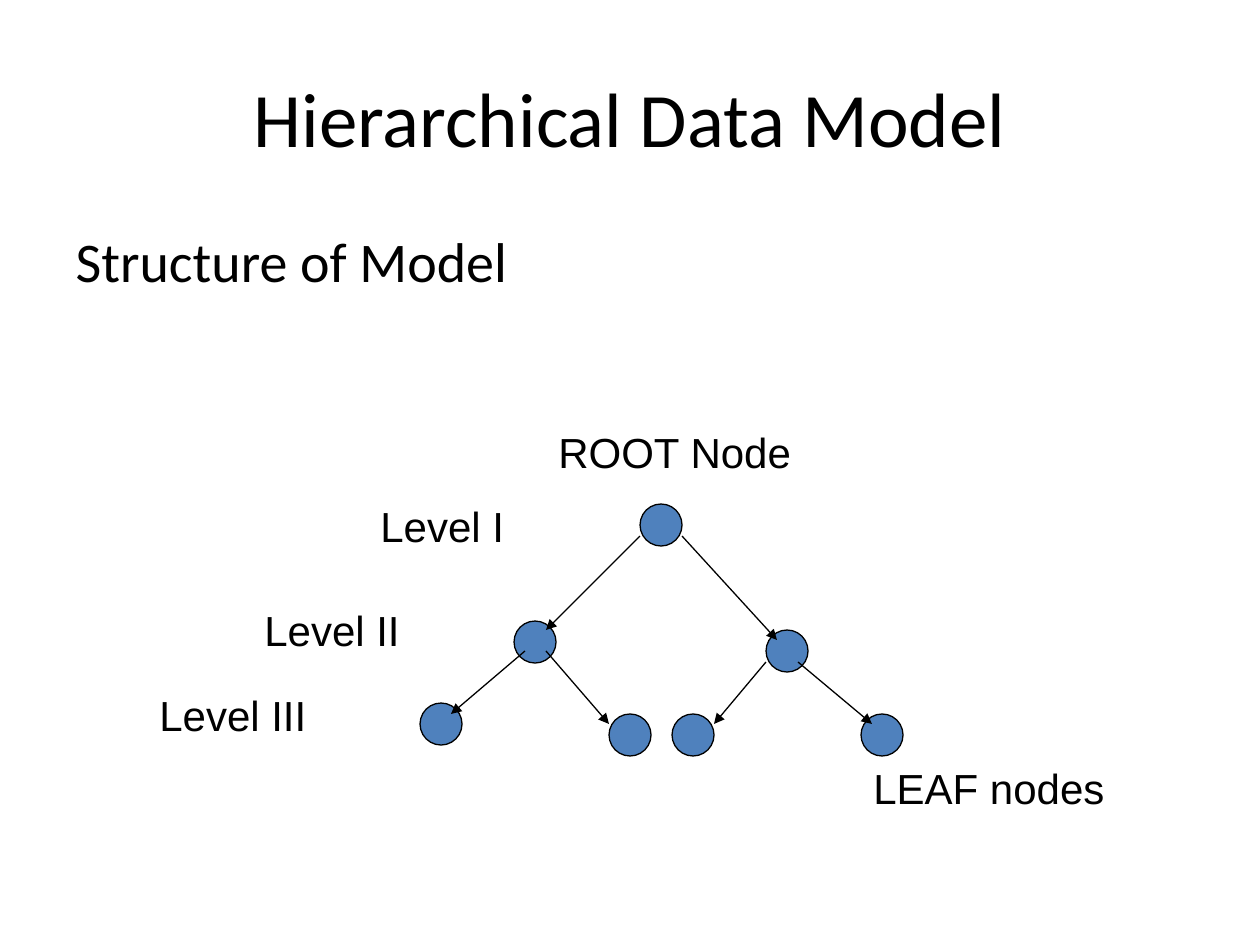
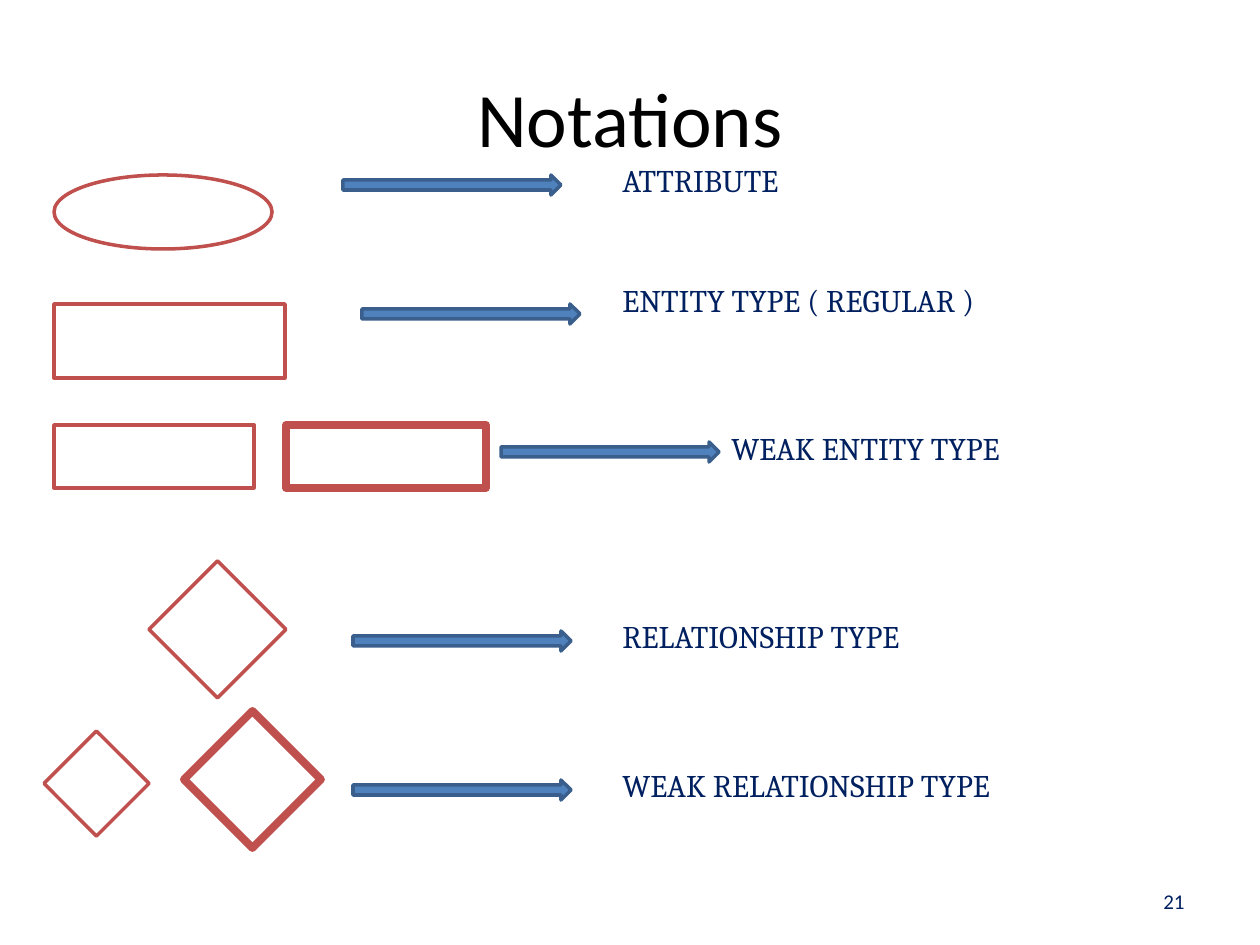
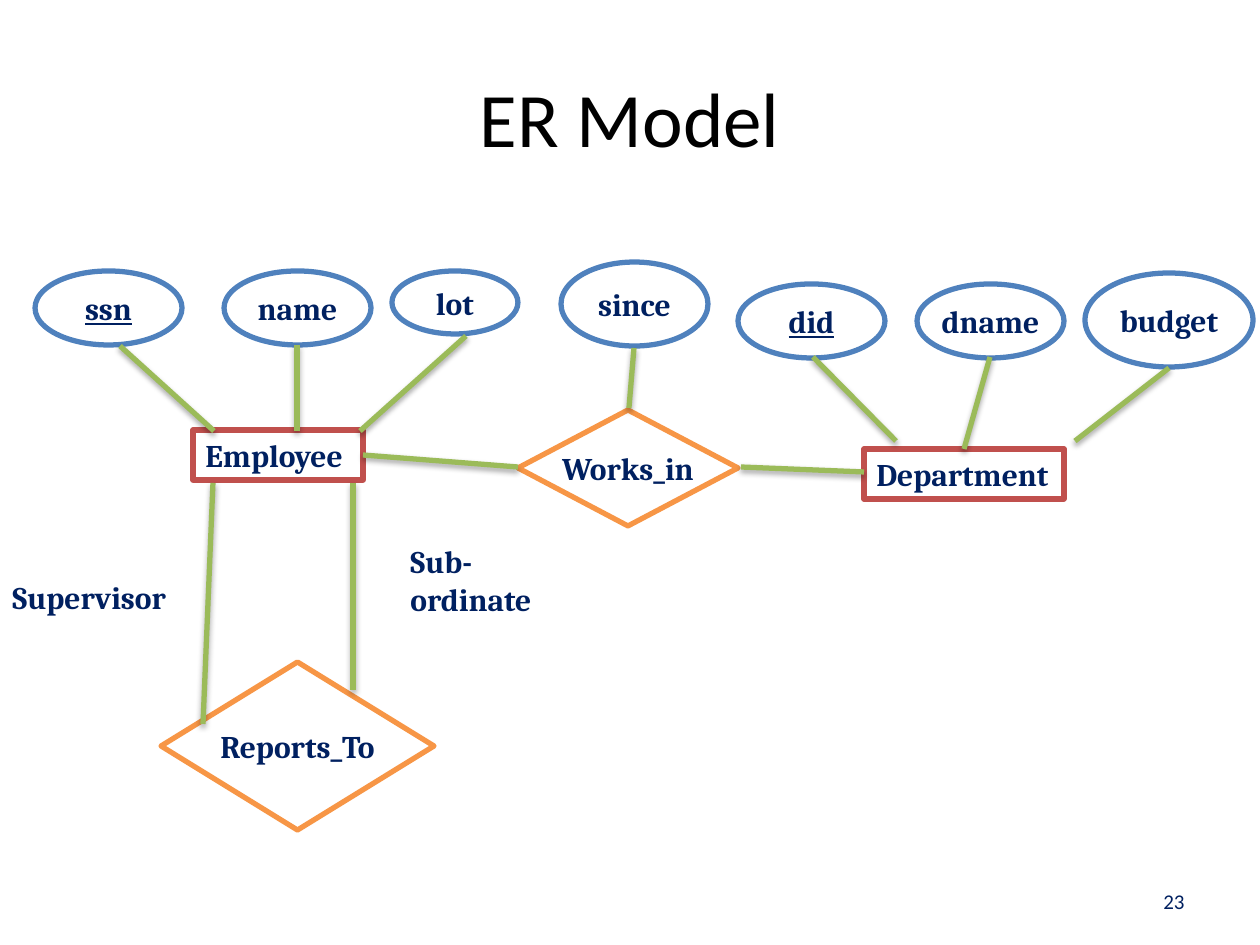
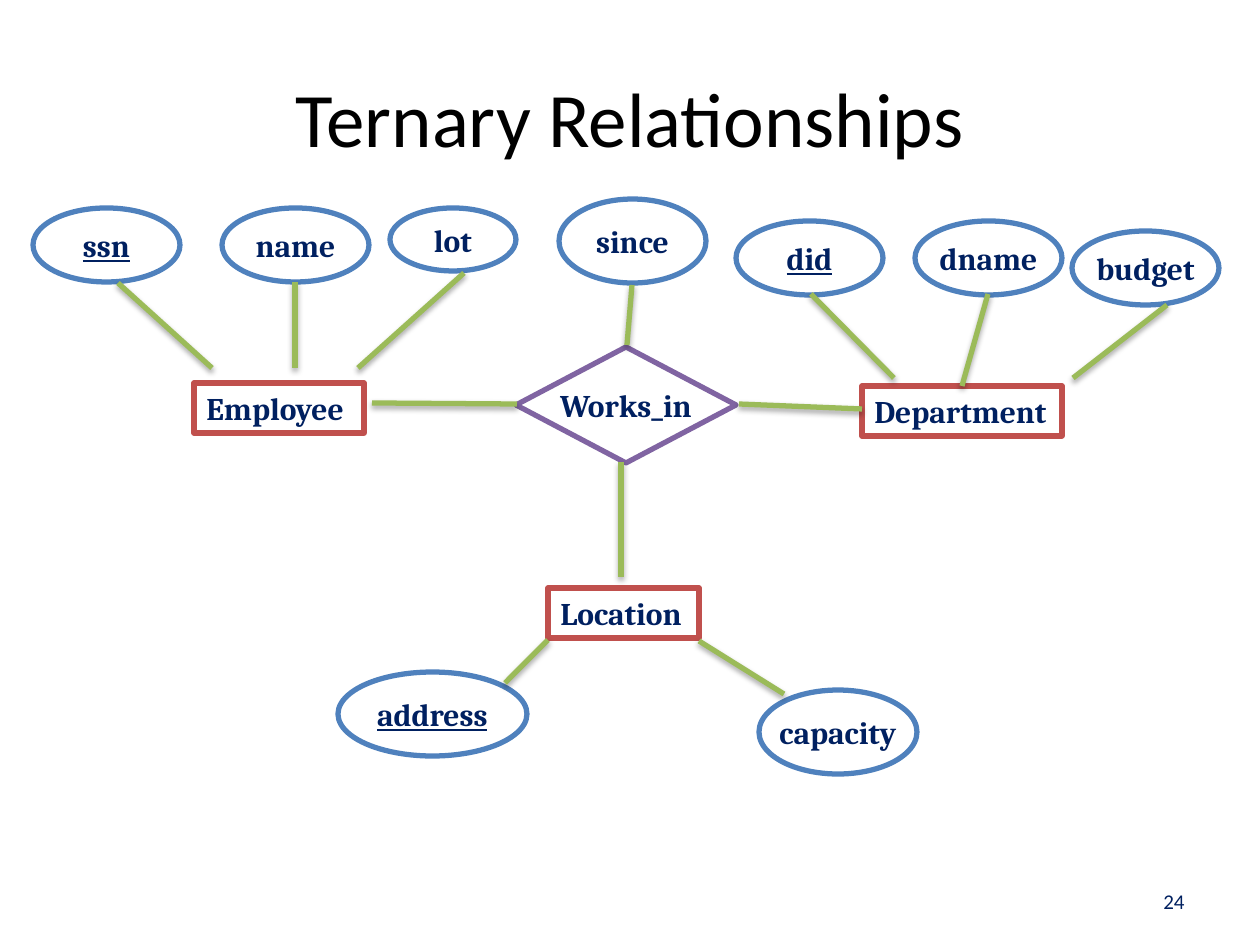
from lxml.etree import SubElement
from pptx import Presentation
from pptx.dml.color import RGBColor
from pptx.enum.shapes import MSO_CONNECTOR, MSO_SHAPE
from pptx.enum.text import MSO_ANCHOR, MSO_AUTO_SIZE, PP_ALIGN
from pptx.oxml.ns import qn
from pptx.util import Emu, Pt

COLORS = {
    "black": "000000", "white": "FFFFFF", "navy": "002060",
    "blue": "4F81BD", "dark_blue": "3A5F8C", "red": "C0504D",
    "green": "9BBB59", "orange": "F79646", "purple": "8064A2",
}
SCALE = 914400 / 126  # EMU per pixel


def px(*lengths):
    return [Emu(round(n * SCALE)) for n in lengths]


def rgb(name):
    return RGBColor.from_string(COLORS[name])


def write_text(tf, text, font="Cambria", size=18, color="navy", bold=False,
               underline=False, align=PP_ALIGN.LEFT, anchor=MSO_ANCHOR.TOP,
               wrap=True, grow=False):
    """Fill a text frame, one paragraph per line of text."""
    tf.word_wrap = wrap
    tf.vertical_anchor = anchor
    tf.auto_size = MSO_AUTO_SIZE.SHAPE_TO_FIT_TEXT if grow else MSO_AUTO_SIZE.NONE
    for i, line in enumerate(text.split("\n")):
        p = tf.paragraphs[0] if i == 0 else tf.add_paragraph()
        p.alignment = align
        r = p.add_run()
        r.text = line
        r.font.name, r.font.size = font, Pt(size)
        r.font.bold, r.font.underline = bold, underline
        r.font.color.rgb = rgb(color)


class Deck:
    def __init__(self):
        self.prs = Presentation()
        self.prs.slide_width, self.prs.slide_height = px(1260, 945)
        self.s = None

    # Shared slide parts
    def slide(self, title, layout=5, number=None):
        self.s = self.prs.slides.add_slide(self.prs.slide_layouts[layout])
        sp = self.s.shapes.title
        sp.left, sp.top, sp.width, sp.height = px(63, 38, 1134, 158)
        write_text(sp.text_frame, title, font="Calibri", size=44, color="black",
                   align=PP_ALIGN.CENTER, anchor=MSO_ANCHOR.MIDDLE)
        if number:
            self.label(number, 903, 876, 294, 50, font="Calibri", size=12,
                       align=PP_ALIGN.RIGHT, anchor=MSO_ANCHOR.MIDDLE)

    def body(self, text):
        sp = self.s.placeholders[1]
        sp.left, sp.top, sp.width, sp.height = px(63, 220, 1134, 624)
        write_text(sp.text_frame, text, font="Calibri", size=32, color="black")
        for p in sp.text_frame.paragraphs:
            pPr = p._p.get_or_add_pPr()
            pPr.set("marL", "342900")
            pPr.set("indent", "-342900")
            SubElement(pPr, qn("a:buNone"))

    # Basic elements
    def label(self, text, x, y, w, h, **fmt):
        sp = self.s.shapes.add_textbox(*px(x, y, w, h))
        write_text(sp.text_frame, text, **fmt)

    def shape(self, kind, x, y, w, h, line, fill="white", weight=3.0):
        sp = self.s.shapes.add_shape(kind, *px(x, y, w, h))
        sp.shadow.inherit = False
        sp.fill.solid()
        sp.fill.fore_color.rgb = rgb(fill)
        sp.line.color.rgb = rgb(line)
        sp.line.width = Pt(weight)
        return sp

    def line(self, x1, y1, x2, y2, color, weight):
        sp = self.s.shapes.add_connector(MSO_CONNECTOR.STRAIGHT, *px(x1, y1, x2, y2))
        sp.line.color.rgb = rgb(color)
        sp.line.width = Pt(weight)
        return sp, SubElement(sp._element.spPr, qn("a:effectLst"))

    def arrow(self, *ends):
        sp, _ = self.line(*ends, "black", 0.75)
        SubElement(sp.line._get_or_add_ln(), qn("a:tailEnd"), type="triangle")

    # ER diagram elements
    def link(self, *ends):
        _, effects = self.line(*ends, "green", 3)
        shadow = SubElement(effects, qn("a:outerShdw"), blurRad="40000", dist="23000",
                            dir="5400000", rotWithShape="0")
        black = SubElement(shadow, qn("a:srgbClr"), val=COLORS["black"])
        SubElement(black, qn("a:alpha"), val="35000")

    def centered(self, kind, text, x, y, w, h, line, key=False):
        sp = self.shape(kind, x, y, w, h, line)
        write_text(sp.text_frame, text, bold=True, underline=key, wrap=False,
                   align=PP_ALIGN.CENTER, anchor=MSO_ANCHOR.MIDDLE)

    def attribute(self, text, x, y, w=147, h=74, key=False):
        self.centered(MSO_SHAPE.OVAL, text, x, y, w, h, "blue", key)

    def relation(self, text, x, y, w, h, color):
        self.centered(MSO_SHAPE.DIAMOND, text, x, y, w, h, color)

    def entity(self, text, x, y, w):
        sp = self.shape(MSO_SHAPE.RECTANGLE, x, y, w, 50, "red")
        write_text(sp.text_frame, text, bold=True, wrap=False, grow=True)

    def works_in_diagram(self, dx, dy, color):
        """Works_in with the attributes of both entities, moved by dx, dy."""
        self.entity("Department", 864 + dx, 449 + dy, 200)
        for text, x, y, w, h, key in [
            ("ssn", 35, 271, 147, 74, True), ("name", 224, 271, 147, 74, False),
            ("lot", 392, 271, 126, 63, False), ("since", 561, 262, 147, 84, False),
            ("did", 738, 284, 147, 74, True), ("dname", 917, 284, 147, 74, False),
        ]:
            self.attribute(text, x + dx, y + dy, w, h, key)
        self.relation("Works_in", 518 + dx, 410 + dy, 220, 116, color)
        for x1, y1, x2, y2 in [
            (120, 346, 214, 431), (297, 345, 297, 431), (466, 336, 360, 431),
            (634, 348, 629, 408), (813, 357, 896, 441), (990, 357, 964, 449),
            (1169, 368, 1075, 441), (741, 467, 864, 472),
        ]:
            self.link(x1 + dx, y1 + dy, x2 + dx, y2 + dy)


deck = Deck()

# Slide 1: tree of nodes
deck.slide("Hierarchical Data Model", layout=1)
deck.body("Structure of Model")
for x, y in [(640, 504), (514, 621), (766, 630), (609, 714), (420, 703),
             (672, 714), (861, 714)]:
    deck.shape(MSO_SHAPE.OVAL, x, y, 42, 42, "black", fill="blue", weight=0.75)
for ends in [(640, 536, 546, 630), (682, 536, 777, 640), (798, 662, 872, 724),
             (766, 662, 714, 724), (525, 651, 451, 714), (546, 651, 609, 724)]:
    deck.arrow(*ends)
for text, x, y in [("Level I", 368, 494), ("Level II", 252, 598), ("Level III", 147, 683),
                   ("ROOT Node", 546, 420), ("LEAF nodes", 861, 756)]:
    deck.label(text, x, y, 262, 63, font="Arial", size=24, color="black", grow=True)

# Slide 2: symbols and their meaning
deck.slide("Notations", number="21")
for kind, x, y, w, h, weight in [
    (MSO_SHAPE.OVAL, 54, 175, 218, 74, 2),
    (MSO_SHAPE.RECTANGLE, 54, 304, 231, 74, 2),
    (MSO_SHAPE.RECTANGLE, 54, 425, 200, 63, 2),
    (MSO_SHAPE.RECTANGLE, 286, 425, 200, 63, 4.5),
    (MSO_SHAPE.DIAMOND, 149, 561, 137, 137, 2),
    (MSO_SHAPE.DIAMOND, 44, 731, 105, 105, 2),
    (MSO_SHAPE.DIAMOND, 184, 711, 137, 137, 4.5),
]:
    deck.shape(kind, x, y, w, h, "red", weight=weight)
for text, x, y, w, arrow_x, arrow_y in [
    ("ATTRIBUTE", 610, 155, 490, 343, 175),
    ("ENTITY TYPE ( REGULAR )", 610, 275, 567, 362, 304),
    ("WEAK ENTITY TYPE", 719, 423, 436, 501, 442),
    ("RELATIONSHIP TYPE", 610, 611, 557, 353, 631),
    ("WEAK RELATIONSHIP TYPE", 610, 760, 588, 353, 780),
]:
    deck.label(text, x, y, w, 50, grow=True)
    deck.shape(MSO_SHAPE.RIGHT_ARROW, arrow_x, arrow_y, 218, 20, "dark_blue",
               fill="blue", weight=2)

# Slide 3: binary and recursive relationships
deck.slide("ER Model", number="23")
deck.entity("Employee", 193, 430, 170)
deck.attribute("budget", 1085, 273, 168, 94)
deck.relation("Reports_To", 161, 662, 273, 168, "orange")
deck.works_in_diagram(0, 0, "orange")
for ends in [(363, 455, 518, 467), (213, 483, 203, 724), (353, 483, 353, 690)]:
    deck.link(*ends)
deck.label("Supervisor", 0, 572, 184, 50, bold=True, wrap=False, grow=True)
deck.label("Sub-\nordinate", 398, 536, 147, 89, bold=True, wrap=False, grow=True)

# Slide 4: relationship of three entities
deck.slide("Ternary Relationships", number="24")
deck.entity("Employee", 194, 383, 170)
deck.entity("Location", 548, 588, 151)
deck.attribute("budget", 1072, 231)
deck.attribute("capacity", 759, 690, 158, 84)
deck.attribute("address", 338, 672, 189, 84, key=True)
deck.works_in_diagram(-2, -63, "purple")
for ends in [(372, 403, 517, 404), (621, 462, 621, 577), (699, 641, 784, 694),
             (548, 640, 505, 683)]:
    deck.link(*ends)

deck.prs.save("out.pptx")
